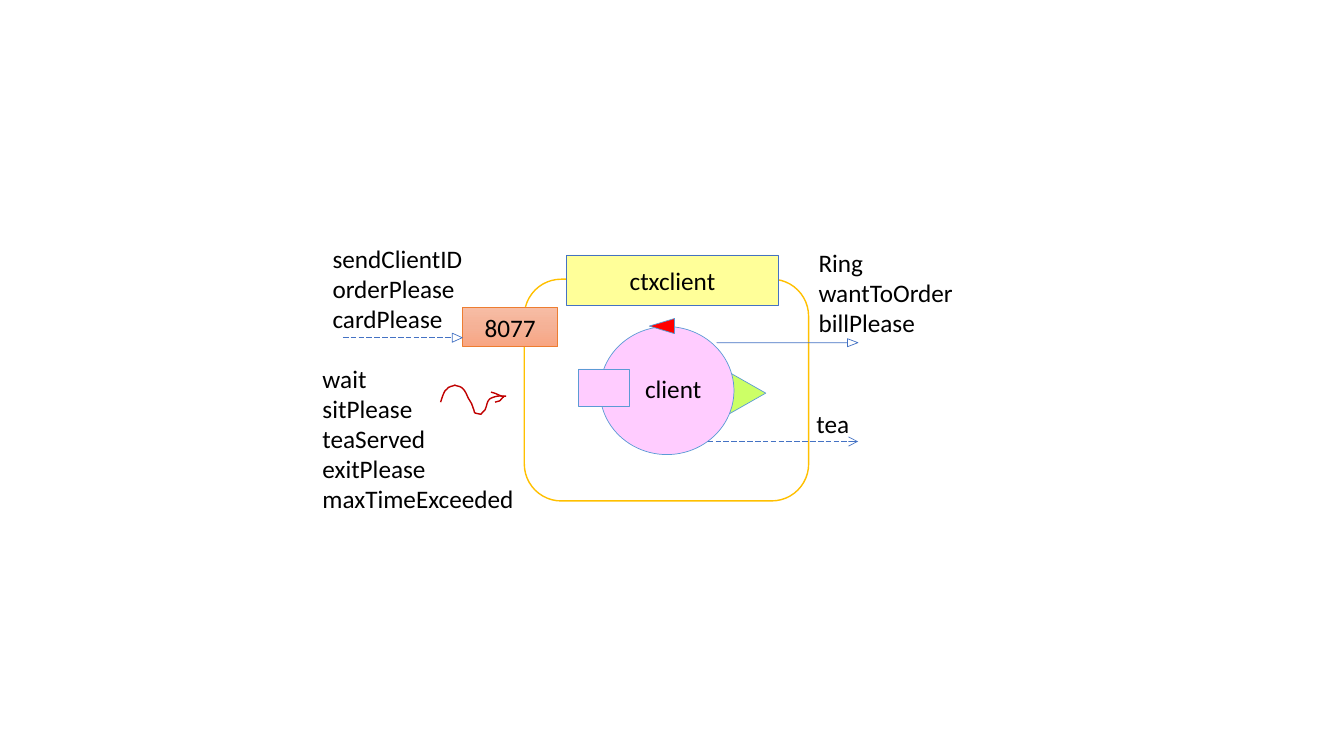
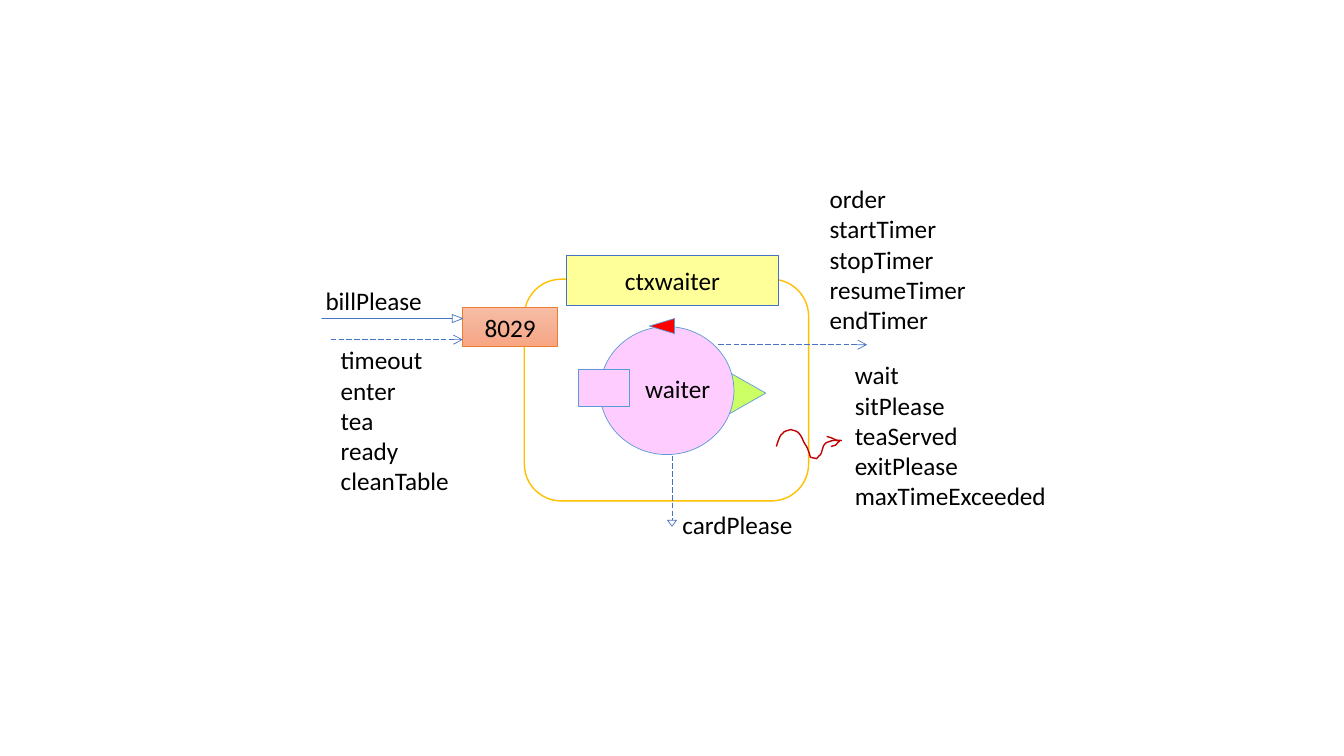
from copy import deepcopy

from lxml.etree import SubElement
from pptx import Presentation
from pptx.dml.color import RGBColor
from pptx.enum.dml import MSO_LINE
from pptx.enum.shapes import MSO_CONNECTOR, MSO_SHAPE
from pptx.enum.text import MSO_ANCHOR, MSO_AUTO_SIZE, PP_ALIGN
from pptx.oxml.ns import qn
from pptx.util import Inches, Pt

BLACK = RGBColor(0x00, 0x00, 0x00)
WHITE = RGBColor(0xFF, 0xFF, 0xFF)
GOLD = RGBColor(0xFF, 0xC0, 0x00)
LIME = RGBColor(0xCC, 0xFF, 0x66)
PINK = RGBColor(0xFF, 0xCC, 0xFF)
RED = RGBColor(0xFF, 0x00, 0x00)
DARK_RED = RGBColor(0xC0, 0x00, 0x00)
YELLOW = RGBColor(0xFF, 0xFF, 0x99)
BLUE = RGBColor(0x44, 0x72, 0xC4)
SKY = RGBColor(0x5B, 0x9B, 0xD5)
ORANGE = RGBColor(0xED, 0x7D, 0x31)
PORT_GRADIENT = (
    RGBColor(0xF7, 0xBD, 0xA5),
    RGBColor(0xF5, 0xB1, 0x96),
    RGBColor(0xF8, 0xA5, 0x82),
)

WAVE = [
    (0, 0.17), (0.01, 0.14), (0.03, 0.07), (0.05, 0.05),
    (0.07, 0.04), (0.07, 0.02), (0.09, 0.02),
    (0.1, 0.01), (0.13, 0.01), (0.14, 0),
    (0.16, 0.01), (0.18, 0.01), (0.2, 0.02),
    (0.24, 0.04), (0.26, 0.1), (0.27, 0.12),
    (0.28, 0.14), (0.3, 0.17), (0.31, 0.19),
    (0.31, 0.2), (0.32, 0.21), (0.32, 0.22),
    (0.35, 0.29), (0.31, 0.27), (0.4, 0.29),
    (0.43, 0.25), (0.44, 0.26), (0.45, 0.22),
    (0.46, 0.2), (0.46, 0.15), (0.5, 0.13),
    (0.57, 0.1), (0.59, 0.11), (0.65, 0.11),
]
UPPER_BARB = [(0.63, 0.12), (0.53, 0.08), (0.57, 0.09), (0.5, 0.07)]
LOWER_BARB = [(0.63, 0.11), (0.57, 0.17), (0.61, 0.15), (0.54, 0.17)]
REPLIES = ["wait", "sitPlease", "teaServed", "exitPlease", "maxTimeExceeded"]


def curve_points(controls, steps=8):
    points = [controls[0]]
    for first in range(0, len(controls) - 1, 3):
        segment = controls[first:first + 4]
        for step in range(1, steps + 1):
            t = step / steps
            weights = ((1 - t) ** 3, 3 * t * (1 - t) ** 2, 3 * t * t * (1 - t), t ** 3)
            points.append(tuple(
                sum(weight * point[axis] for weight, point in zip(weights, segment))
                for axis in (0, 1)
            ))
    return points


class ActorDiagram:
    font = "Calibri"
    size = Pt(18)
    thin = Pt(0.5)
    thick = Pt(1)

    def __init__(self, deck):
        self.deck = deck
        self.page = None

    def new_page(self):
        self.page = self.deck.slides.add_slide(self.deck.slide_layouts[6])

    def add_lines(self, frame, lines, align=PP_ALIGN.LEFT):
        for index, line in enumerate(lines):
            para = frame.paragraphs[0] if index == 0 else frame.add_paragraph()
            para.alignment = align
            span = para.add_run()
            span.text = line
            span.font.name = self.font
            span.font.size = self.size
            span.font.color.rgb = BLACK

    def shape(self, kind, place, fill=None, line=SKY, width=thin, turn=0, text=None):
        box = self.page.shapes.add_shape(kind, *map(Inches, place))
        box.shadow.inherit = False
        box.rotation = turn
        if fill is None:
            box.fill.background()
        else:
            box.fill.solid()
            box.fill.fore_color.rgb = fill
        box.line.color.rgb = line
        box.line.width = width
        if text:
            box.text_frame.vertical_anchor = MSO_ANCHOR.MIDDLE
            self.add_lines(box.text_frame, [text], PP_ALIGN.CENTER)
        return box

    def label(self, place, lines, wrap=False):
        box = self.page.shapes.add_textbox(*map(Inches, place))
        box.text_frame.word_wrap = wrap
        box.text_frame.auto_size = MSO_AUTO_SIZE.SHAPE_TO_FIT_TEXT
        self.add_lines(box.text_frame, lines)

    def dashed_line(self, start, end, arrow=True):
        line = self.page.shapes.add_connector(
            MSO_CONNECTOR.STRAIGHT, *map(Inches, start + end))
        line.line.color.rgb = BLUE
        line.line.width = self.thin
        line.line.dash_style = MSO_LINE.LONG_DASH
        properties = line._element.spPr
        if arrow:
            SubElement(properties.find(qn("a:ln")), qn("a:tailEnd"), type="arrow")
        SubElement(properties, qn("a:effectLst"))

    def request_arrow(self, left, top):
        arrow = self.shape(MSO_SHAPE.RIGHT_ARROW, (left, top, 1.4, 0.08), line=BLUE)
        arrow.adjustments[0] = 0
        arrow.adjustments[1] = 1.31

    def reply_head(self, place, turn):
        self.shape(MSO_SHAPE.ISOSCELES_TRIANGLE, place, line=BLUE, turn=turn)

    def event_wave(self, left, top):
        for controls in (WAVE, UPPER_BARB, LOWER_BARB):
            points = [(Inches(left + x), Inches(top + y))
                      for x, y in curve_points(controls)]
            builder = self.page.shapes.build_freeform(*points[0])
            builder.add_line_segments(points[1:], close=False)
            wave = builder.convert_to_shape()
            wave.shadow.inherit = False
            wave.fill.background()
            wave.line.color.rgb = DARK_RED
            wave.line.width = self.thick

    def port(self, number):
        box = self.shape(MSO_SHAPE.RECTANGLE, (4.59, 3.05, 0.94, 0.39),
                         line=ORANGE, text=number)
        box.fill.gradient()
        box.fill.gradient_angle = 270
        stop_list = box._element.spPr.find(qn("a:gradFill")).find(qn("a:gsLst"))
        stop_list.insert(1, deepcopy(stop_list[0]))
        for index, stop in enumerate(box.fill.gradient_stops):
            stop.position = index / 2
            stop.color.rgb = PORT_GRADIENT[index]

    def context(self, actor, number, name_width):
        triangle = MSO_SHAPE.ISOSCELES_TRIANGLE
        self.shape(MSO_SHAPE.ROUNDED_RECTANGLE, (5.2, 2.77, 2.82, 2.2),
                   WHITE, GOLD, self.thick)
        self.shape(triangle, (6.57, 3.42, 1.09, 0.96), LIME, turn=90)
        self.shape(MSO_SHAPE.OVAL, (5.95, 3.24, 1.33, 1.27), PINK)
        self.shape(MSO_SHAPE.RECTANGLE, (5.74, 3.66, 0.5, 0.37), PINK)
        self.shape(triangle, (6.49, 3.11, 0.15, 0.25), RED, turn=270)
        self.label((6.3, 3.65, name_width, 0.4), [actor])
        self.shape(MSO_SHAPE.RECTANGLE, (5.62, 2.53, 2.1, 0.5),
                   YELLOW, BLUE, text="ctx" + actor)
        self.port(number)


def client_page(diagram):
    diagram.new_page()
    diagram.context("client", "8077", 0.77)
    diagram.request_arrow(7.11, 3.36)
    diagram.dashed_line((3.4, 3.35), (4.48, 3.35), arrow=False)
    diagram.reply_head((4.49, 3.3, 0.09, 0.1), 90)
    diagram.dashed_line((7.02, 4.38), (8.51, 4.38))
    diagram.label((8.02, 2.4, 1.55, 1.01), ["Ring", "wantToOrder", "billPlease"])
    diagram.label((3.2, 2.36, 1.5, 1.01), ["sendClientID", "orderPlease", "cardPlease"])
    diagram.label((8, 4, 0.53, 0.4), ["tea"])
    diagram.event_wave(4.37, 3.82)
    diagram.label((3.1, 3.55, 2.12, 1.62), REPLIES)


def waiter_page(diagram):
    diagram.new_page()
    diagram.context("waiter", "8029", 0.85)
    diagram.request_arrow(3.19, 3.12)
    diagram.dashed_line((6.67, 4.52), (6.67, 5.16), arrow=False)
    diagram.reply_head((6.62, 5.16, 0.09, 0.06), 180)
    diagram.dashed_line((7.12, 3.42), (8.6, 3.42))
    diagram.dashed_line((3.28, 3.37), (4.59, 3.37))
    diagram.label((3.28, 3.37, 1.29, 1.62),
                  ["timeout", "enter", "tea", "ready", "cleanTable"])
    diagram.label((8.13, 1.77, 1.57, 1.62),
                  ["order", "startTimer", "stopTimer", "resumeTimer", "endTimer"])
    diagram.label((8.38, 3.52, 2.12, 1.62), REPLIES)
    diagram.event_wave(7.7, 4.26)
    diagram.label((6.67, 5, 1.53, 0.4), ["cardPlease"], wrap=True)
    diagram.label((3.13, 2.78, 1.29, 0.4), ["billPlease"], wrap=True)


def main():
    deck = Presentation()
    deck.slide_width = Inches(13.33)
    deck.slide_height = Inches(7.5)
    diagram = ActorDiagram(deck)
    client_page(diagram)
    waiter_page(diagram)
    deck.save("out.pptx")


if __name__ == "__main__":
    main()
